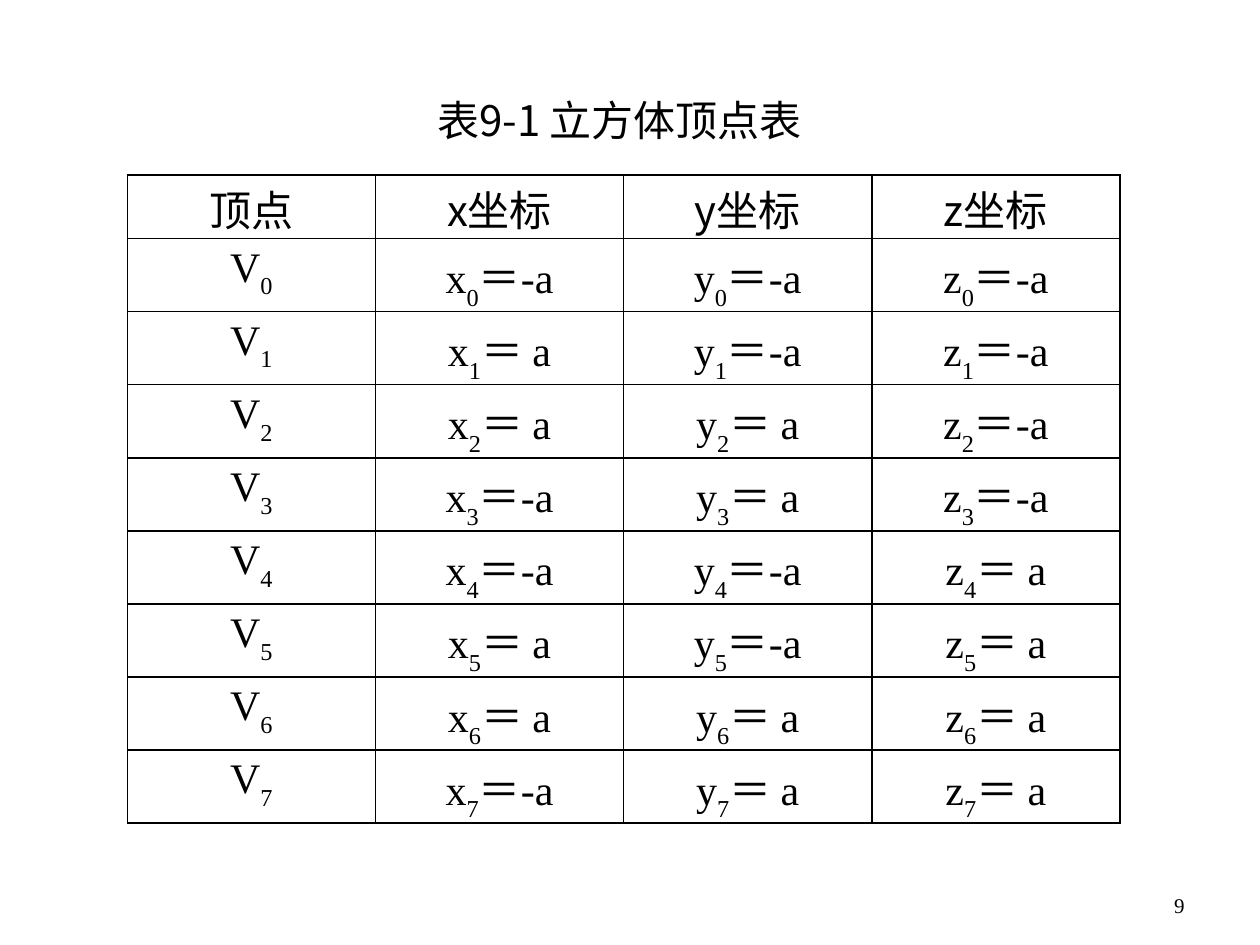
import pptx
import pptx.dml.color
import pptx.enum.text
import pptx.oxml
import pptx.oxml.ns
import pptx.util
from pptx.util import Inches

COLORS = {"ink": "000000", "paper": "FFFFFF"}
SANS = "Noto Sans CJK SC"
SERIF = "Times New Roman"
ALIGN = pptx.enum.text.PP_ALIGN
ANCHOR = pptx.enum.text.MSO_ANCHOR

HEADERS = ["顶点", "x坐标", "y坐标", "z坐标"]
# Signs of x, y and z at each vertex of the cube
VERTICES = ["---", "+--", "++-", "-+-", "--+", "+-+", "+++", "-++"]


def rgb(name):
    return pptx.dml.color.RGBColor.from_string(COLORS[name])


def add_span(para, text, size=24, font=SERIF, baseline=None):
    """Add one run of text in the given format."""
    span = para.add_run()
    span.text = text
    span.font.size = pptx.util.Pt(size)
    span.font.name = font
    span.font.color.rgb = rgb("ink")
    properties = span.font._element
    east_asian = pptx.oxml.parse_xml(
        f'<a:ea {pptx.oxml.ns.nsdecls("a")} typeface="{SANS}"/>')
    properties.find(pptx.oxml.ns.qn("a:latin")).addnext(east_asian)
    if baseline is not None:
        properties.set("baseline", str(baseline * 1000))


def write(frame, *parts, align=ALIGN.LEFT, anchor=ANCHOR.TOP, **style):
    """Fill a text frame; a part given as an integer becomes a subscript."""
    frame.word_wrap = True
    frame.vertical_anchor = anchor
    para = frame.paragraphs[0]
    para.alignment = align
    for part in parts:
        baseline = -30 if isinstance(part, int) else None
        add_span(para, str(part), baseline=baseline, **style)


def set_borders(cell, widths):
    """Draw the cell's borders; widths maps L, R, T and B to points."""
    properties = cell._tc.get_or_add_tcPr()
    for position, (side, width) in enumerate(widths.items()):
        line = pptx.oxml.parse_xml(
            f'<a:ln{side} {pptx.oxml.ns.nsdecls("a")} w="{pptx.util.Pt(width)}">'
            f'<a:solidFill><a:srgbClr val="{COLORS["ink"]}"/></a:solidFill>'
            f'</a:ln{side}>')
        properties.insert(position, line)


def add_title(page):
    title = page.shapes.title
    title.left, title.top = Inches(3.37), Inches(0.7)
    title.width, title.height = Inches(3.54), Inches(0.5)
    write(title.text_frame, "表9-1 立方体顶点表", font=SANS, anchor=ANCHOR.MIDDLE)


def add_vertex_table(page):
    table = page.shapes.add_table(
        len(VERTICES) + 1, len(HEADERS),
        Inches(1.01), Inches(1.39), Inches(7.88), Inches(5.17)).table
    table.first_row = table.horz_banding = False
    for column in table.columns:
        column.width = Inches(1.97)
    for index, row in enumerate(table.rows):
        row.height = Inches(0.58 if index else 0.5)

    # Header row, with a tight top margin so that its text fits the height
    for column, header in enumerate(HEADERS):
        cell = table.cell(0, column)
        cell.margin_top = Inches(0.02)
        write(cell.text_frame, header, font=SANS, align=ALIGN.CENTER)

    # One row for each vertex
    for vertex, signs in enumerate(VERTICES):
        row = vertex + 1
        write(table.cell(row, 0).text_frame, "V", vertex, align=ALIGN.CENTER)
        for column, (axis, sign) in enumerate(zip("xyz", signs), start=1):
            value = "＝-a" if sign == "-" else "＝ a"
            write(table.cell(row, column).text_frame, axis, vertex, value,
                  align=ALIGN.CENTER)

    # Plain cells, with thinner lines at the left and right edges
    last = len(HEADERS) - 1
    for row in table.rows:
        for column, cell in enumerate(row.cells):
            cell.margin_bottom = 0
            cell.fill.solid()
            cell.fill.fore_color.rgb = rgb("paper")
            set_borders(cell, {"L": 1 if column else 0.75,
                               "R": 1 if column < last else 0.75,
                               "T": 1, "B": 1})


def add_page_number(page):
    box = page.shapes.add_textbox(
        Inches(7.17), Inches(6.83), Inches(2.33), Inches(0.5))
    write(box.text_frame, "9", size=12, align=ALIGN.RIGHT, anchor=ANCHOR.BOTTOM)


def main():
    deck = pptx.Presentation()
    deck.slide_width, deck.slide_height = Inches(10), Inches(7.5)
    page = deck.slides.add_slide(deck.slide_layouts[5])
    add_title(page)
    add_vertex_table(page)
    add_page_number(page)
    deck.save("out.pptx")


if __name__ == "__main__":
    main()
